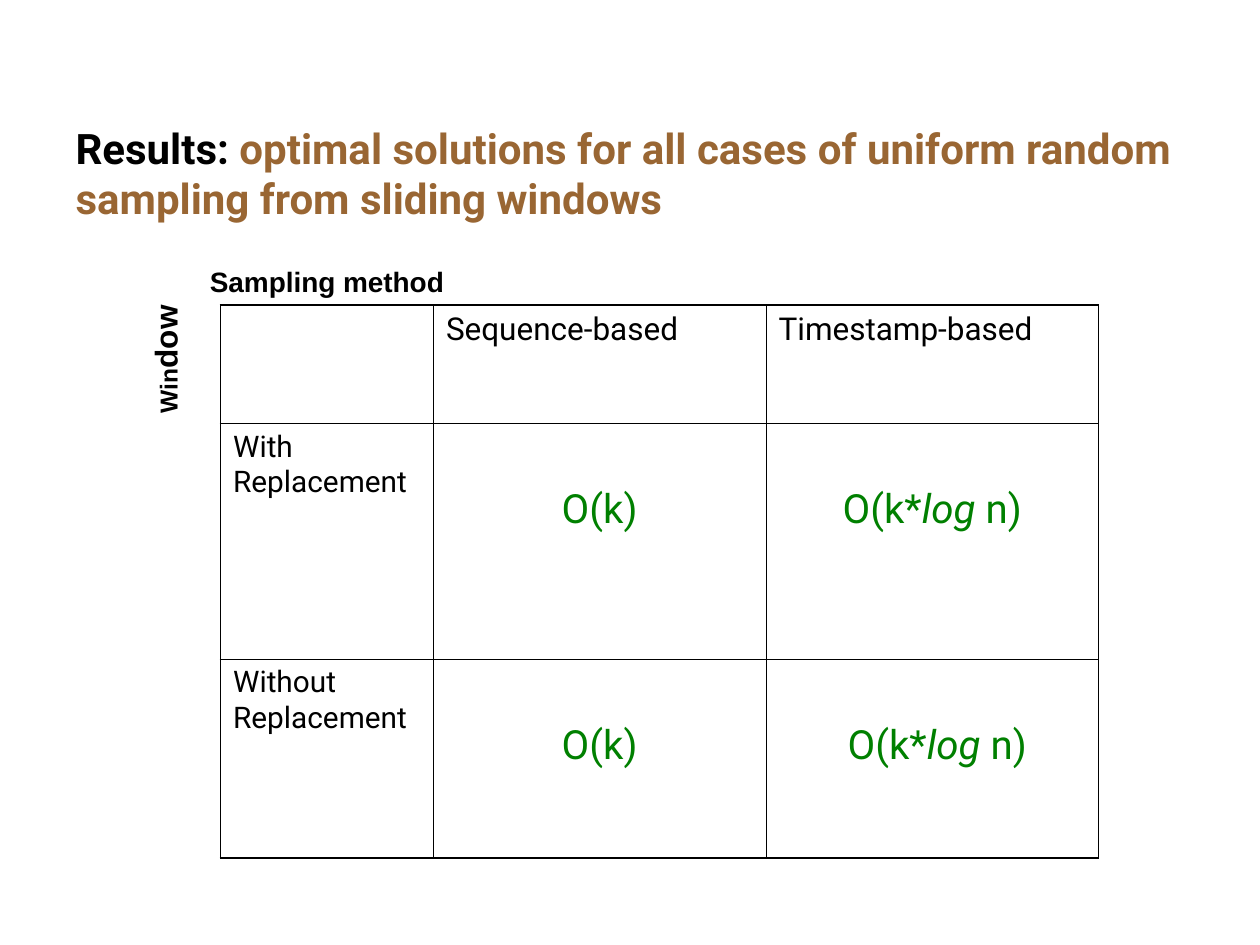
from lxml import etree
from pptx import Presentation
from pptx.dml.color import RGBColor
from pptx.enum.text import MSO_ANCHOR, MSO_AUTO_SIZE, PP_ALIGN
from pptx.oxml.ns import qn
from pptx.util import Inches, Pt

LEFT, CENTER = PP_ALIGN.LEFT, PP_ALIGN.CENTER
TOP, MIDDLE = MSO_ANCHOR.TOP, MSO_ANCHOR.MIDDLE
NO_FIT = MSO_AUTO_SIZE.NONE
BLACK = RGBColor(0x00, 0x00, 0x00)
BROWN = RGBColor(0x99, 0x66, 0x33)
GREEN = RGBColor(0x00, 0x80, 0x00)
OUTER_LINE, INNER_LINE = Pt(1.08), Pt(0.45)

TITLE_BOX = (0.5, 0.92, 9, 1.25)
METHOD_BOX = (1.17, 1.97, 2.85, 0.53)
WINDOW_BOX = (-0.09, 2.58, 2.8, 0.54)
TABLE_BOX = (1.75, 2.42, 6.97, 4.39)
COLUMN_WIDTHS = (1.69, 2.64, 2.64)
ROW_HEIGHTS = (0.94, 1.87, 1.58)

HEADERS = ("", "Sequence-based", "Timestamp-based")
RESULTS = (
    ("With Replacement", [("O(k)", False)],
     [("O(k*", False), ("log", True), (" n)", False)]),
    ("Without Replacement", [("O(k)", False)],
     [(" O(k*", False), ("log", True), (" n)", False)]),
)


def set_font(font, name, size, color, bold=False):
    font.name, font.size, font.bold = name, Pt(size), bold
    font.color.rgb = color


def add_title(page, box):
    title = page.shapes.title
    title.left, title.top, title.width, title.height = map(Inches, box)
    frame = title.text_frame
    frame.word_wrap, frame.auto_size = True, NO_FIT
    frame.vertical_anchor = TOP
    para = frame.paragraphs[0]
    para.alignment = LEFT
    set_font(para.font, "Roboto", 24, BLACK, bold=True)
    para.add_run().text = "Results: "
    span = para.add_run()
    span.text = "optimal solutions for all cases of uniform random sampling from sliding windows"
    span.font.color.rgb = BROWN


def add_axis_label(page, box, pieces, rotation=0):
    label = page.shapes.add_textbox(*map(Inches, box))
    label.rotation = rotation
    frame = label.text_frame
    frame.word_wrap = False
    frame.vertical_anchor = MIDDLE
    para = frame.paragraphs[0]
    para.alignment = CENTER
    for text, size in pieces:
        span = para.add_run()
        span.text = text
        set_font(span.font, "Arial", size, BLACK, bold=True)


def set_borders(cell, widths):
    properties = cell._tc.get_or_add_tcPr()
    for position, (side, width) in enumerate(zip("LRTB", widths)):
        line = etree.Element(qn(f"a:ln{side}"), w=str(int(width)))
        fill = etree.SubElement(line, qn("a:solidFill"))
        etree.SubElement(fill, qn("a:srgbClr"), val=str(BLACK))
        properties.insert(position, line)


def fill_label(cell, text, size):
    para = cell.text_frame.paragraphs[0]
    set_font(para.font, "Roboto", size, BLACK)
    if text:
        para.add_run().text = text


def fill_result(cell, pieces):
    cell.margin_top = Inches(0.5)
    para = cell.text_frame.paragraphs[0]
    para.alignment = CENTER
    set_font(para.font, "Roboto", 23, GREEN)
    for text, italic in pieces:
        span = para.add_run()
        span.text = text
        span.font.italic = italic


def add_results_table(page, box):
    row_count, column_count = len(ROW_HEIGHTS), len(COLUMN_WIDTHS)
    table = page.shapes.add_table(row_count, column_count, *map(Inches, box)).table
    table.first_row = table.horz_banding = False
    for column, width in zip(table.columns, COLUMN_WIDTHS):
        column.width = Inches(width)
    for row, height in zip(table.rows, ROW_HEIGHTS):
        row.height = Inches(height)

    for row in range(row_count):
        for column in range(column_count):
            cell = table.cell(row, column)
            cell.fill.background()
            on_edge = (column == 0, column == column_count - 1,
                       row == 0, row == row_count - 1)
            set_borders(cell, [OUTER_LINE if edge else INNER_LINE for edge in on_edge])

    for column, header in enumerate(HEADERS):
        fill_label(table.cell(0, column), header, 18)
    for row, (label, *results) in enumerate(RESULTS, start=1):
        fill_label(table.cell(row, 0), label, 17)
        for column, pieces in enumerate(results, start=1):
            fill_result(table.cell(row, column), pieces)


def main():
    deck = Presentation()
    deck.slide_width, deck.slide_height = Inches(10), Inches(7.5)
    page = deck.slides.add_slide(deck.slide_layouts.get_by_name("Title Only"))
    add_results_table(page, TABLE_BOX)
    add_axis_label(page, WINDOW_BOX, [("Win", 14), ("dow", 18)], rotation=270)
    add_axis_label(page, METHOD_BOX, [("Sampling method", 16)])
    add_title(page, TITLE_BOX)
    deck.save("out.pptx")


if __name__ == "__main__":
    main()
